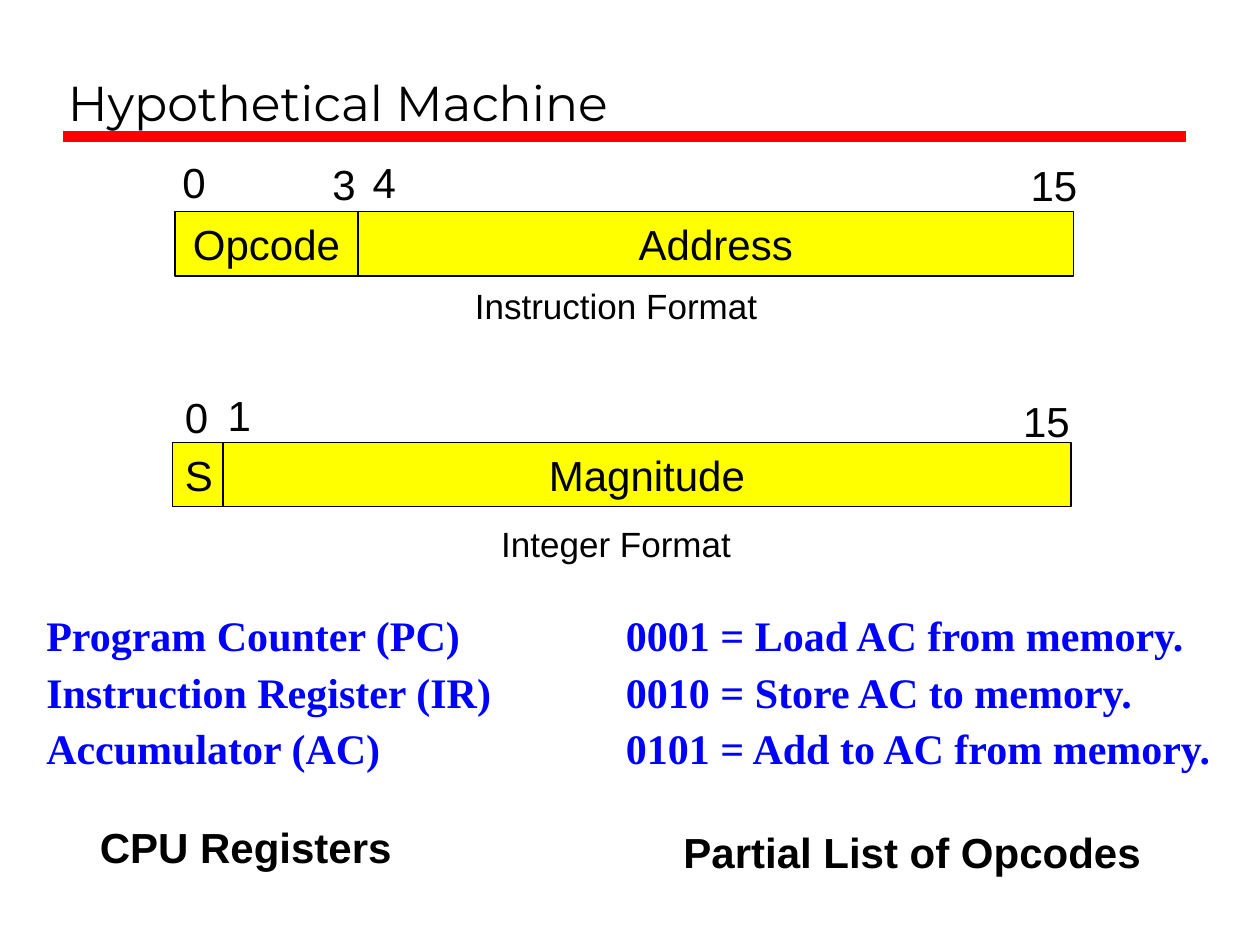
"""Build the Hypothetical Machine slide: word formats, registers and opcodes."""
import pptx
import pptx.util
import pptx.dml.color
import pptx.enum.shapes
import pptx.enum.text
import pptx.oxml

Pt = pptx.util.Pt
Anchor = pptx.enum.text.MSO_ANCHOR
Align = pptx.enum.text.PP_ALIGN

TITLE = "Hypothetical Machine"
FORMATS = [
    {
        "left": 100, "top": 121, "fields": [("Opcode", 104.5), ("Address", 409)],
        "bits": [("0", 96.5, 85.7, 28.8), ("3", 182.2, 87.1, 28.8),
                 ("4", 205.2, 85.7, 28.8), ("15", 578.9, 87.8, 46.8)],
        "caption": ("Instruction Format", 159.1),
    },
    {
        "left": 98.6, "top": 252.7, "fields": [("S", 28.8), ("Magnitude", 484.6)],
        "bits": [("0", 97.9, 220.3, 28.8), ("1", 122.4, 218.9, 28.8),
                 ("15", 574.6, 222.5, 46.8)],
        "caption": ("Integer Format", 295.2),
    },
]
LISTS = [
    (["Program Counter (PC)", "Instruction Register (IR)", "Accumulator (AC)"],
     19.4, 283, "CPU Registers", (36.7, 465.8, 207.4)),
    (["0001 = Load AC from memory.", "0010 = Store AC to memory.",
      "0101 = Add to AC from memory."],
     350.6, 367.2, "Partial List of Opcodes", (382.3, 468.7, 277.9)),
]
FIELD_HEIGHT = 36.7
LABEL_HEIGHT = 36


def rgb(value):
    return pptx.dml.color.RGBColor.from_string(value)


def write(shape, lines, size=24, font="Arial", color="000000", bold=False,
          align=Align.CENTER, anchor=Anchor.TOP, gap=0):
    frame = shape.text_frame
    frame.word_wrap = True
    frame.vertical_anchor = anchor
    frame.text = "\n".join(lines)
    for index, paragraph in enumerate(frame.paragraphs):
        paragraph.alignment = align
        paragraph.space_before = Pt(gap if index else 0)
        paragraph.font.size = Pt(size)
        paragraph.font.name = font
        paragraph.font.bold = bold
        paragraph.font.color.rgb = rgb(color)


def add_text(slide, lines, left, top, width, height=LABEL_HEIGHT, **style):
    box = slide.shapes.add_textbox(Pt(left), Pt(top), Pt(width), Pt(height))
    write(box, lines, **style)


def add_rule(slide):
    rule = slide.shapes.add_connector(
        pptx.enum.shapes.MSO_CONNECTOR.STRAIGHT, Pt(36), Pt(78), Pt(678), Pt(78))
    rule.line.color.rgb = rgb("FF0000")
    rule.line.width = Pt(6)
    rule._element.spPr.append(pptx.oxml.parse_xml(
        '<a:effectLst xmlns:a="http://schemas.openxmlformats.org/drawingml/2006/main"/>'))


def add_format(slide, word):
    left = word["left"]
    for name, width in word["fields"]:
        field = slide.shapes.add_shape(
            pptx.enum.shapes.MSO_SHAPE.RECTANGLE,
            Pt(left), Pt(word["top"]), Pt(width), Pt(FIELD_HEIGHT))
        field.shadow.inherit = False
        field.fill.solid()
        field.fill.fore_color.rgb = rgb("FFFF00")
        field.line.color.rgb = rgb("000000")
        field.line.width = Pt(0.75)
        write(field, [name], anchor=Anchor.MIDDLE)
        left += width
    for bit, bit_left, bit_top, width in word["bits"]:
        add_text(slide, [bit], bit_left, bit_top, width)
    caption, caption_top = word["caption"]
    add_text(slide, [caption], 248.4, caption_top, 207.4, 31, size=20)


def main():
    deck = pptx.Presentation()
    deck.slide_width, deck.slide_height = Pt(720), Pt(540)
    slide = deck.slides.add_slide(deck.slide_layouts[6])
    add_rule(slide)
    add_text(slide, [TITLE], 31.7, 12.2, 645.8, 66.2, size=28, font="Montserrat",
             align=Align.LEFT, anchor=Anchor.BOTTOM)
    for word in FORMATS:
        add_format(slide, word)
    for entries, left, width, heading, (head_left, head_top, head_width) in LISTS:
        add_text(slide, entries, left, 345, width, 99.4, font="Times New Roman",
                 color="0000FF", bold=True, align=Align.LEFT, gap=3.4)
        add_text(slide, [heading], head_left, head_top, head_width, bold=True)
    deck.save("out.pptx")


if __name__ == "__main__":
    main()
